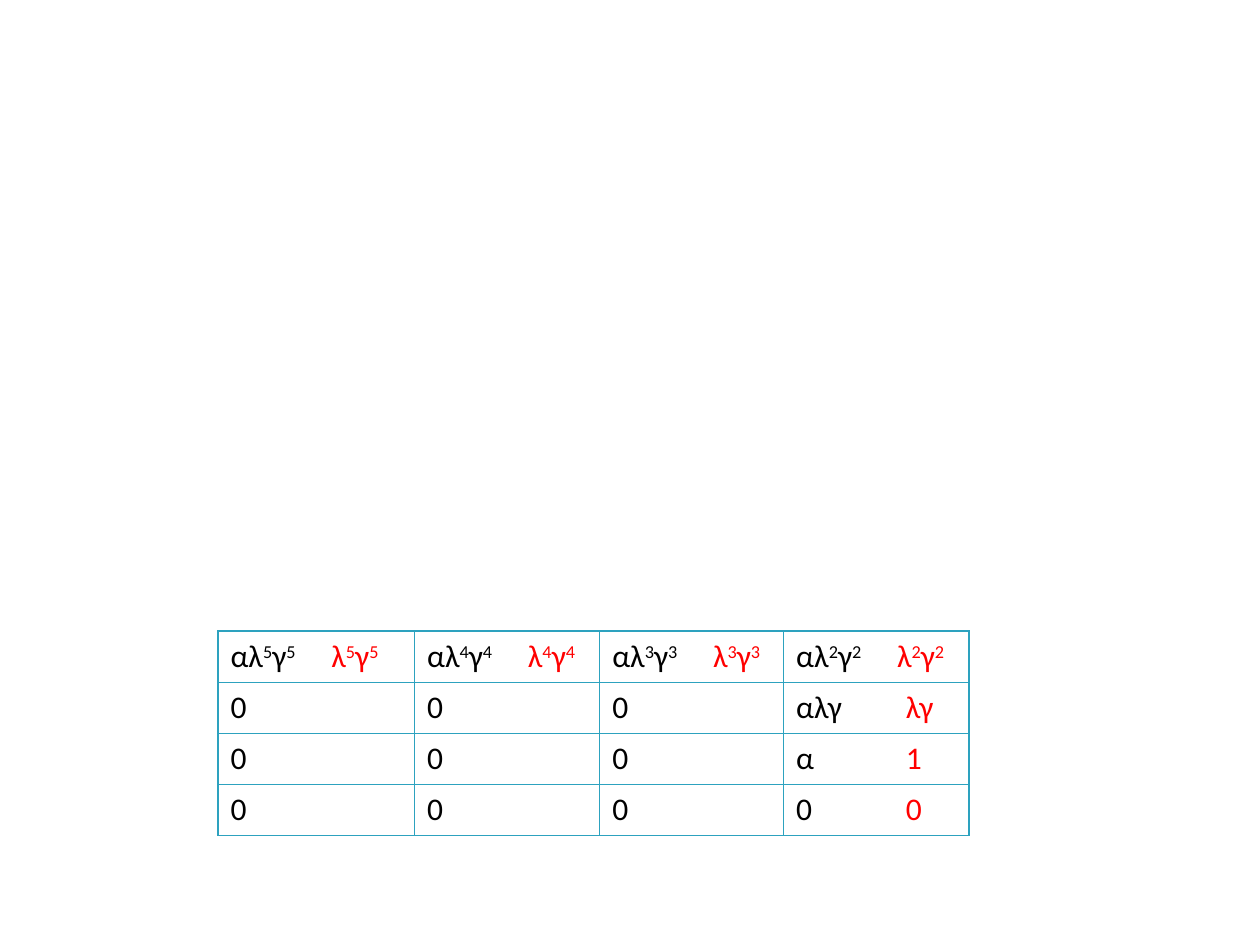
from lxml import etree
from pptx import Presentation
from pptx.dml.color import RGBColor
from pptx.oxml.ns import qn
from pptx.util import Inches, Pt

BLACK = RGBColor(0x00, 0x00, 0x00)
RED = RGBColor(0xFF, 0x00, 0x00)
TEAL = RGBColor(0x2D, 0xA2, 0xBF)
FONT = "Calibri"
BLANK_LAYOUT = 6

LEFT, TOP = 1.73, 5.01
COLUMNS = [1.56, 1.47, 1.46, 1.47]
ROW_HEIGHT = 0.405
POWER_TAB, VALUE_TAB = 0.8, 0.87


def add_span(para, text, color=BLACK, raised=False):
    span = para.add_run()
    span.text = text
    span.font.name = FONT
    span.font.size = Pt(18)
    span.font.color.rgb = color
    if raised:
        span.font._element.set("baseline", "30000")


def add_tab_stop(para, inches):
    tabs = etree.SubElement(para._p.get_or_add_pPr(), qn("a:tabLst"))
    etree.SubElement(tabs, qn("a:tab"), pos=str(Inches(inches)), algn="l")


def add_power(para, letters, exponent, color):
    """Write the letters and γ, each raised to the exponent."""
    for base in (letters, "γ"):
        add_span(para, base, color)
        add_span(para, str(exponent), color, raised=True)


def fill_power_cell(para, exponent):
    add_tab_stop(para, POWER_TAB)
    add_power(para, "αλ", exponent, BLACK)
    add_span(para, "\t")
    add_power(para, "λ", exponent, RED)


def fill_value_cell(para, value, red_value):
    add_tab_stop(para, VALUE_TAB)
    add_span(para, value + "\t")
    add_span(para, red_value, RED)


def style_cell(cell):
    """Clear the fill and draw a thin border on all four sides."""
    cell.fill.background()
    properties = cell._tc.get_or_add_tcPr()
    for place, side in enumerate(("lnL", "lnR", "lnT", "lnB")):
        line = etree.Element(qn("a:" + side), w=str(Pt(1)))
        fill = etree.SubElement(line, qn("a:solidFill"))
        etree.SubElement(fill, qn("a:srgbClr"), val=str(TEAL))
        properties.insert(place, line)


def add_trace_table(page):
    exponents = [5, 4, 3, 2]
    last_column = [("αλγ", "λγ"), ("α", "1"), ("0", "0")]
    row_count = 1 + len(last_column)
    frame = page.shapes.add_table(
        row_count, len(COLUMNS), Inches(LEFT), Inches(TOP),
        Inches(sum(COLUMNS)), Inches(ROW_HEIGHT * row_count))
    table = frame.table
    table.first_row = table.horz_banding = False

    # Grid
    for column, width in zip(table.columns, COLUMNS):
        column.width = Inches(width)
    for row in table.rows:
        row.height = Inches(ROW_HEIGHT)
    for cell in table.iter_cells():
        style_cell(cell)

    # Top row of powers
    for column, exponent in enumerate(exponents):
        fill_power_cell(table.cell(0, column).text_frame.paragraphs[0], exponent)

    # Zeros, then a pair of values in the last column
    for row, pair in enumerate(last_column, start=1):
        *zeros, last = [table.cell(row, column).text_frame.paragraphs[0]
                        for column in range(len(COLUMNS))]
        for para in zeros:
            add_span(para, "0")
        fill_value_cell(last, *pair)


def main():
    deck = Presentation()
    deck.slide_width, deck.slide_height = Inches(10), Inches(7.5)
    page = deck.slides.add_slide(deck.slide_layouts[BLANK_LAYOUT])
    add_trace_table(page)
    deck.save("out.pptx")


main()
